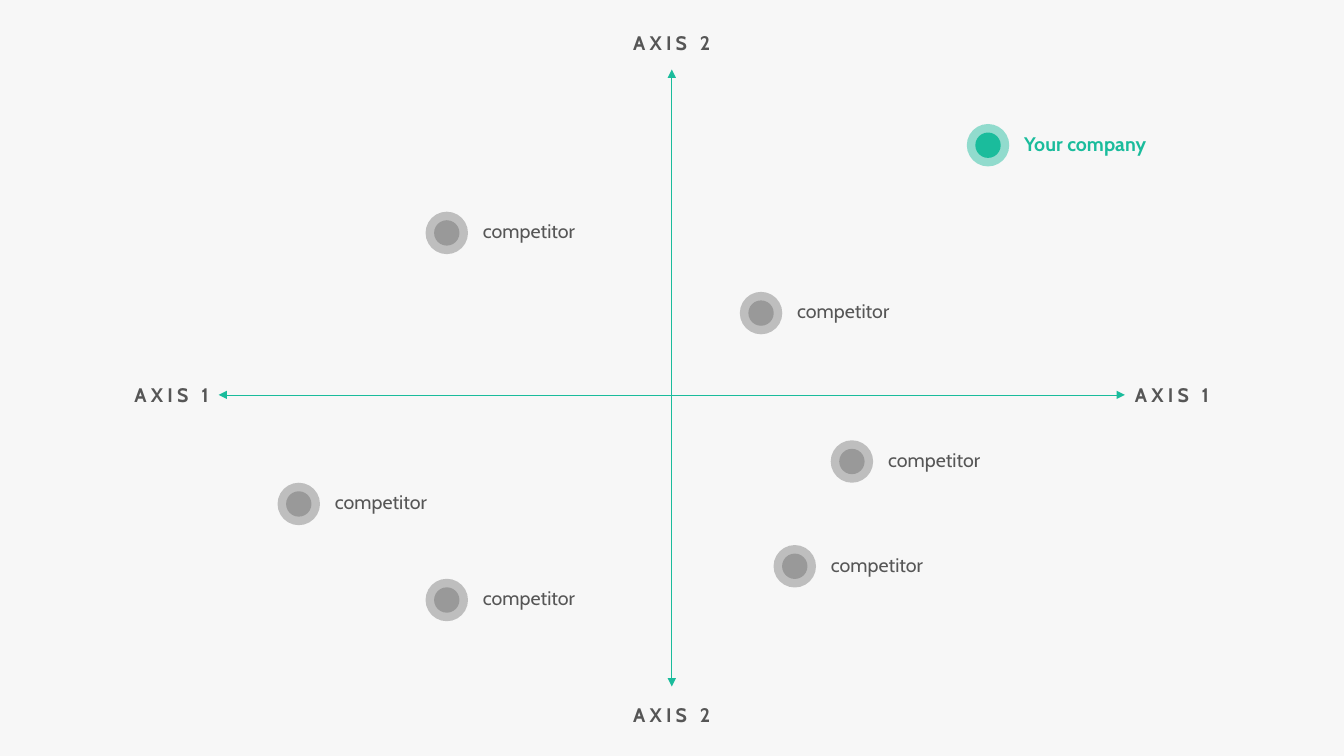
from typing import NamedTuple

from lxml.etree import SubElement
from pptx import Presentation
from pptx.dml.color import RGBColor
from pptx.enum.shapes import MSO_CONNECTOR, MSO_SHAPE
from pptx.enum.text import MSO_ANCHOR, MSO_AUTO_SIZE, PP_ALIGN
from pptx.oxml.ns import qn
from pptx.shapes.autoshape import Shape
from pptx.shapes.connector import Connector
from pptx.util import Cm, Pt

PAPER = RGBColor(0xF7, 0xF7, 0xF7)
GREEN = RGBColor(0x1A, 0xBC, 0x9C)
GREY = RGBColor(0x56, 0x56, 0x56)

WIDTH, HEIGHT = 33.87, 19.05
MID_X, MID_Y = 16.93, 9.95
LEFT, RIGHT = 5.51, 28.35
TOP, BOTTOM = 1.75, 17.3
RING, CORE = 1.07, 0.64
LABEL_W, LABEL_H = 4.75, 0.86
LABEL_GAP, LABEL_RISE = 0.66, 0.05


class Player(NamedTuple):
    x: float
    y: float
    name: str = "competitor"
    color: RGBColor = GREY
    ring: int = 35
    core: int = 35
    bold: bool = False


class Title(NamedTuple):
    text: str
    x: float
    y: float
    align: PP_ALIGN


PLAYERS = [
    Player(24.9, 3.66, "Your company", GREEN, 46, 100, True),
    Player(19.18, 7.89),
    Player(21.47, 11.63),
    Player(20.03, 14.27),
    Player(7.53, 12.7),
    Player(11.26, 15.12),
    Player(11.26, 5.87),
]
TITLES = [
    Title("AXIS 2", MID_X - LABEL_W / 2, 1.07, PP_ALIGN.CENTER),
    Title("AXIS 2", MID_X - LABEL_W / 2, 18.01, PP_ALIGN.CENTER),
    Title("AXIS 1", LEFT - LABEL_W, MID_Y, PP_ALIGN.RIGHT),
    Title("AXIS 1", RIGHT, MID_Y, PP_ALIGN.LEFT),
]


def add_label(shapes, text: str, x: float, y: float, color: RGBColor,
              bold: bool, align: PP_ALIGN = PP_ALIGN.LEFT, space: int = 0) -> Shape:
    box = shapes.add_textbox(Cm(x), Cm(y - LABEL_H / 2), Cm(LABEL_W), Cm(LABEL_H))
    frame = box.text_frame
    frame.word_wrap = True
    frame.auto_size = MSO_AUTO_SIZE.SHAPE_TO_FIT_TEXT
    frame.vertical_anchor = MSO_ANCHOR.MIDDLE
    line = frame.paragraphs[0]
    line.alignment = align
    run = line.add_run()
    run.text = text
    font = line.font
    font.name, font.size, font.bold = "Cabin", Pt(14), bold
    font.color.rgb = color
    if space:
        run.font._element.set("spc", str(space))
    return box


def add_disc(shapes, x: float, y: float, size: float, color: RGBColor, alpha: int) -> None:
    disc = shapes.add_shape(MSO_SHAPE.OVAL, Cm(x - size / 2), Cm(y - size / 2),
                            Cm(size), Cm(size))
    disc.shadow.inherit = False
    disc.line.fill.background()
    disc.fill.solid()
    disc.fill.fore_color.rgb = color
    if alpha < 100:
        tint = disc._element.spPr.find(qn("a:solidFill"))[0]
        SubElement(tint, qn("a:alpha")).set("val", str(alpha * 1000))


def add_player(shapes, player: Player) -> None:
    group = shapes.add_group_shape().shapes
    add_disc(group, player.x, player.y, RING, player.color, player.ring)
    add_disc(group, player.x, player.y, CORE, player.color, player.core)
    add_label(group, player.name, player.x + LABEL_GAP, player.y - LABEL_RISE,
              player.color, player.bold)


def add_axis(shapes, x1: float, y1: float, x2: float, y2: float) -> Connector:
    axis = shapes.add_connector(MSO_CONNECTOR.STRAIGHT, Cm(x1), Cm(y1), Cm(x2), Cm(y2))
    axis.line.color.rgb = GREEN
    axis.line.width = Pt(0.5)
    stroke = axis.line._get_or_add_ln()
    for end in ("a:headEnd", "a:tailEnd"):
        SubElement(stroke, qn(end)).set("type", "triangle")
    SubElement(axis._element.spPr, qn("a:effectLst"))
    return axis


def main() -> None:
    deck = Presentation()
    deck.slide_width, deck.slide_height = Cm(WIDTH), Cm(HEIGHT)
    slide = deck.slides.add_slide(deck.slide_layouts[6])
    slide.background.fill.solid()
    slide.background.fill.fore_color.rgb = PAPER
    shapes = slide.shapes

    add_axis(shapes, MID_X, TOP, MID_X, BOTTOM)
    across = add_axis(shapes, LEFT, MID_Y, RIGHT, MID_Y)
    for player in PLAYERS:
        add_player(shapes, player)
    boxes = [add_label(shapes, title.text, title.x, title.y, GREY, True, title.align, 300)
             for title in TITLES]
    across.begin_connect(boxes[2], 3)
    across.end_connect(boxes[3], 1)

    deck.save("out.pptx")


if __name__ == "__main__":
    main()
